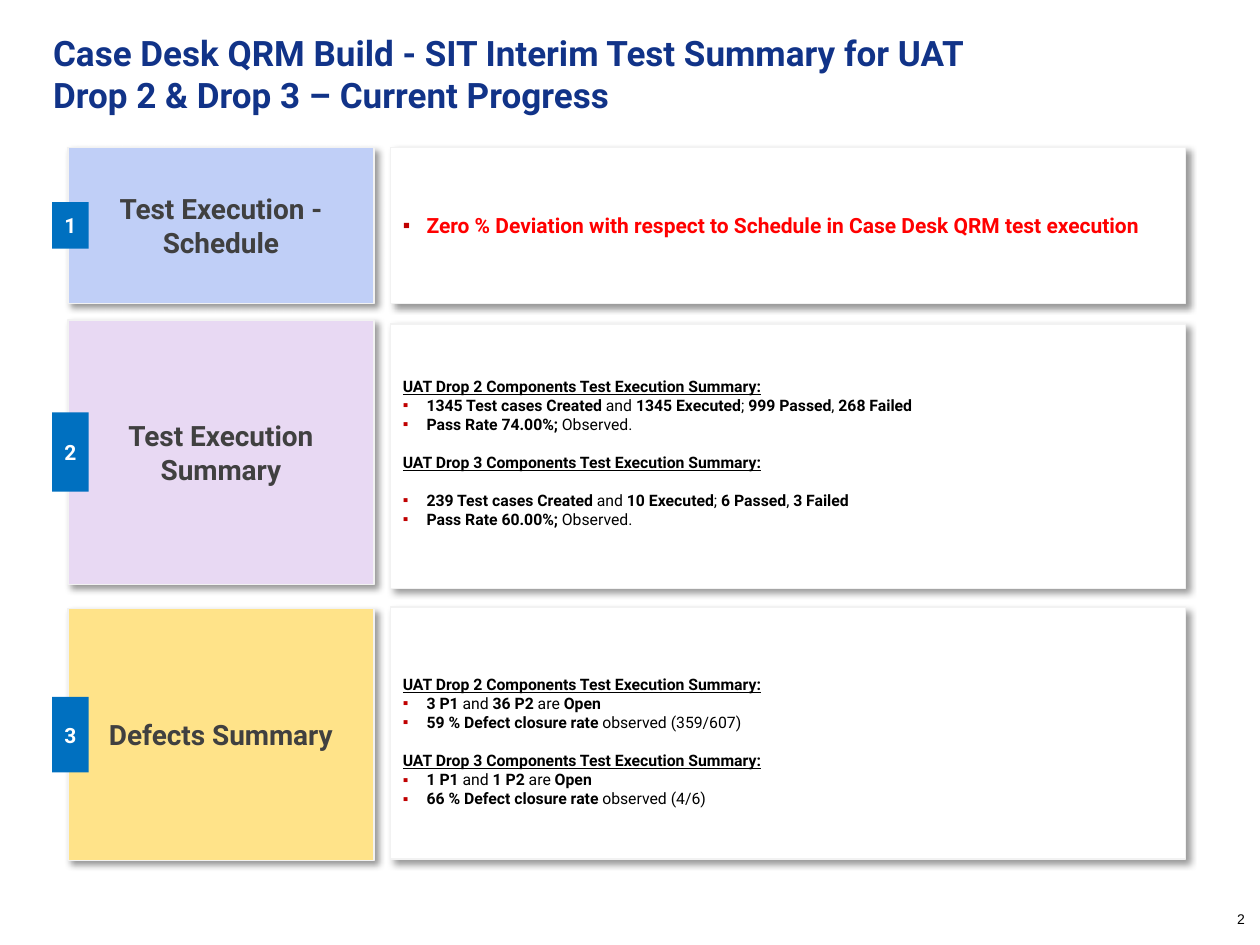
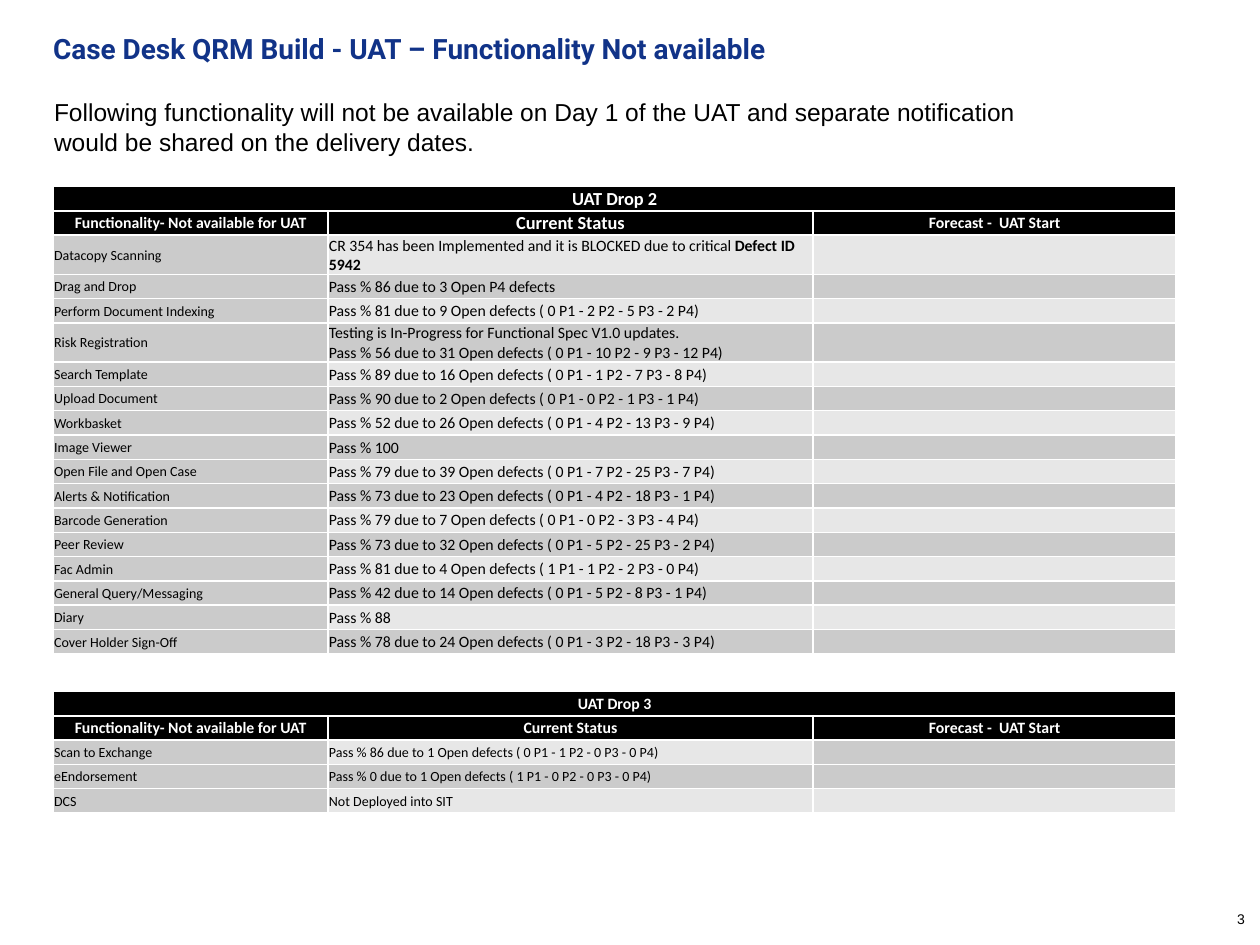
from lxml.etree import SubElement as Sub
from pptx import Presentation
from pptx.dml.color import RGBColor as Rgb
from pptx.enum.shapes import MSO_SHAPE as Kind
from pptx.enum.text import MSO_ANCHOR as Anchor, MSO_AUTO_SIZE as Fit, PP_ALIGN as Align
from pptx.oxml.ns import qn
from pptx.util import Cm, Pt

HUES = {
    "navy": "113388", "blue": "0070C0", "white": "FFFFFF", "black": "000000",
    "edge": "F2F2F2", "text": "404040", "red": "FF0000", "mark": "C00000",
    "sky": "C0CFF7", "lilac": "E8D9F3", "sand": "FFE389",
    "dark": "CBCBCB", "light": "E7E7E7",
}
MAIN, BODY, GRID = "Roboto", "Arial", "Calibri"

DROP2 = "UAT Drop 2 Components Test Execution Summary:"
DROP3 = "UAT Drop 3 Components Test Execution Summary:"

TITLES = [
    ("Case Desk QRM Build - SIT Interim Test Summary for UAT Drop 2 & Drop 3 – Current Progress", 20, 19.69),
    ("Case Desk QRM Build - UAT – Functionality Not available", 16, 22.23),
]
NOTE = ("Following functionality will not be available on Day 1 of the UAT "
        "and separate notification would be shared on the delivery dates.")

PARTS = [
    {"name": "Test Execution - Schedule", "fill": "sky", "top": 2.97, "high": 3.15,
     "side": 2.97, "badge": 0.94, "pad": (0.13, 0.13), "size": 12, "hue": "red",
     "blocks": [
         (None, 0, ["*Zero % Deviation with respect to Schedule in Case Desk QRM test execution*"]),
     ]},
    {"name": "Test Execution Summary", "fill": "lilac", "top": 6.45, "high": 5.33,
     "side": 6.53, "badge": 1.6, "pad": (0.13, 0.26), "size": 9, "hue": "black",
     "blocks": [
         (DROP2, 0, ["*1345 Test cases Created* and *1345 Executed*; *999 Passed*, *268 Failed*",
                     "*Pass Rate 74.00%;* Observed."]),
         (DROP3, 11, ["*239 Test cases Created* and *10 Executed*; *6 Passed*, *3 Failed*",
                      "*Pass Rate 60.00%;* Observed."]),
     ]},
    {"name": "Defects Summary", "fill": "sand", "top": 12.27, "high": 5.08,
     "side": 12.24, "badge": 1.52, "pad": (0.47, 0.13), "size": 9, "hue": "black",
     "blocks": [
         (DROP2, 0, ["*3 P1* and *36 P2* are *Open*",
                     "*59 % Defect closure rate* observed (359/607)"]),
         (DROP3, 0, ["*1 P1* and *1 P2* are *Open*",
                     "*66 % Defect closure rate* observed (4/6)"]),
     ]},
]

HEADS = ["Functionality- Not available for UAT", "Current Status", "Forecast -  UAT Start"]
WIDE = [5.54, 9.78, 7.32]
LOW, TALL = 0.49, 0.79
TABLES = [
    {"name": "UAT Drop 2", "top": 3.76, "big": 10.5, "size": 9, "tall": (0, 3), "odd": [], "rows": [
        ("Datacopy Scanning", "CR 354 has been Implemented and it is BLOCKED due to critical *Defect ID 5942*"),
        ("Drag and Drop", "Pass % 86 due to 3 Open P4 defects"),
        ("Perform Document Indexing", "Pass % 81 due to 9 Open defects ( 0 P1 - 2 P2 - 5 P3 - 2 P4)"),
        ("Risk Registration", "Testing is In-Progress for Functional Spec V1.0 updates.\n"
                              "Pass % 56 due to 31 Open defects ( 0 P1 - 10 P2 - 9 P3 - 12 P4)"),
        ("Search Template", "Pass % 89 due to 16 Open defects ( 0 P1 - 1 P2 - 7 P3 - 8 P4)"),
        ("Upload Document", "Pass % 90 due to 2 Open defects ( 0 P1 - 0 P2 - 1 P3 - 1 P4)"),
        ("Workbasket", "Pass % 52 due to 26 Open defects ( 0 P1 - 4 P2 - 13 P3 - 9 P4)"),
        ("Image Viewer", "Pass % 100"),
        ("Open File and Open Case", "Pass % 79 due to 39 Open defects ( 0 P1 - 7 P2 - 25 P3 - 7 P4)"),
        ("Alerts & Notification", "Pass % 73 due to 23 Open defects ( 0 P1 - 4 P2 - 18 P3 - 1 P4)"),
        ("Barcode Generation", "Pass % 79 due to 7 Open defects ( 0 P1 - 0 P2 - 3 P3 - 4 P4)"),
        ("Peer Review", "Pass % 73 due to 32 Open defects ( 0 P1 - 5 P2 - 25 P3 - 2 P4)"),
        ("Fac Admin", "Pass % 81 due to 4 Open defects ( 1 P1 - 1 P2 - 2 P3 - 0 P4)"),
        ("General Query/Messaging", "Pass % 42 due to 14 Open defects ( 0 P1 - 5 P2 - 8 P3 - 1 P4)"),
        ("Diary", "Pass % 88"),
        ("Cover Holder Sign-Off", "Pass % 78 due to 24 Open defects ( 0 P1 - 3 P2 - 18 P3 - 3 P4)"),
    ]},
    {"name": "UAT Drop 3", "top": 13.94, "big": 9, "size": 8, "tall": (), "odd": [(0, 2)], "rows": [
        ("Scan to Exchange", "Pass % 86 due to 1 Open defects ( 0 P1 - 1 P2 - 0 P3 - 0 P4)"),
        ("eEndorsement", "Pass % 0 due to 1 Open defects ( 1 P1 - 0 P2 - 0 P3 - 0 P4)"),
        ("DCS", "Not Deployed into SIT"),
    ]},
]


def hue(name):
    return Rgb.from_string(HUES[name])


def paint(item, name):
    item.fill.solid()
    item.fill.fore_color.rgb = hue(name)


def write(para, text, size, tint, font, bold=False, line=False, align=Align.LEFT):
    para.alignment = align
    for i, part in enumerate(text.split("*")):
        if part:
            run = para.add_run()
            run.text = part
            face = run.font
            face.name, face.size, face.underline = font, Pt(size), line
            face.bold = bold or i % 2 == 1
            face.color.rgb = hue(tint)


def inset(frame, left, top, right, low):
    frame.margin_left, frame.margin_top = Cm(left), Cm(top)
    frame.margin_right, frame.margin_bottom = Cm(right), Cm(low)


def shade(shape):
    fx = Sub(shape._element.spPr, qn("a:effectLst"))
    cast = Sub(fx, qn("a:outerShdw"), blurRad="50800", dist="38100", dir="2700000",
               algn="tl", rotWithShape="0")
    tone = Sub(cast, qn("a:srgbClr"), val=HUES["black"])
    Sub(tone, qn("a:alpha"), val="40000")


def card(slide, x, y, w, h, fill, edge=True):
    box = slide.shapes.add_shape(Kind.RECTANGLE, Cm(x), Cm(y), Cm(w), Cm(h))
    paint(box, fill)
    if edge:
        box.line.color.rgb = hue("edge")
        box.line.width = Pt(0.75)
        shade(box)
    else:
        box.line.fill.background()
        box.shadow.inherit = False
    box.text_frame.word_wrap = True
    box.text_frame.vertical_anchor = Anchor.MIDDLE
    return box.text_frame


def dot(para):
    prop = para._p.get_or_add_pPr()
    prop.set("marL", str(Cm(0.48)))
    prop.set("indent", str(-Cm(0.48)))
    Sub(Sub(prop, qn("a:buClr")), qn("a:srgbClr"), val=HUES["mark"])
    Sub(prop, qn("a:buFont"), typeface=BODY)
    Sub(prop, qn("a:buChar"), char="▪")


def fill_side(frame, part):
    style = part["size"], part["hue"], MAIN
    fresh = True
    for head, gap, items in part["blocks"]:
        rows = [(head, True)] if head else []
        rows += [(item, False) for item in items]
        for i, (text, top) in enumerate(rows):
            para = frame.paragraphs[0] if fresh else frame.add_paragraph()
            if top and not fresh:
                para.space_before = Pt(11)
            elif i == 1 and gap:
                para.space_before = Pt(gap)
            if not top:
                dot(para)
            write(para, text, *style, bold=top, line=top)
            fresh = False


def note(slide, text, x, y, w, h, size):
    frame = slide.shapes.add_textbox(Cm(x), Cm(y), Cm(w), Cm(h)).text_frame
    frame.word_wrap = True
    inset(frame, 0, 0, 0, 0)
    write(frame.paragraphs[0], text, size, "black", BODY)


def start(deck, num, text, size, wide):
    slide = deck.slides.add_slide(deck.slide_layouts[5])
    head = slide.shapes.title
    head.left, head.top, head.width, head.height = Cm(1.07), Cm(0.64), Cm(wide), Cm(1.27)
    frame = head.text_frame
    frame.word_wrap, frame.auto_size = True, Fit.NONE
    frame.vertical_anchor = Anchor.TOP
    inset(frame, 0, 0, 0, 0)
    write(frame.paragraphs[0], text, size, "navy", MAIN, bold=True)
    note(slide, str(num), 24.94, 18.36, 0.4, 0.4, 8)
    return slide


def put(cell, text, size, tint, fill, bold=False, align=Align.LEFT):
    cell.vertical_anchor = Anchor.MIDDLE
    inset(cell, 0.02, 0.02, 0.02, 0)
    prop = cell._tc.get_or_add_tcPr()
    for side in ("lnL", "lnR", "lnT", "lnB"):
        line = Sub(prop, qn("a:" + side), w=str(Pt(1)))
        Sub(Sub(line, qn("a:solidFill")), qn("a:srgbClr"), val=HUES["white"])
    paint(cell, fill)
    frame = cell.text_frame
    for i, row in enumerate(text.split("\n")):
        para = frame.add_paragraph() if i else frame.paragraphs[0]
        write(para, row, size, tint, GRID, bold, align=align)
        if not row:
            Sub(para._p, qn("a:endParaRPr"), sz=str(size * 100))


def chart_rows(slide, data):
    rows = data["rows"]
    highs = [LOW, LOW] + [TALL if i in data["tall"] else LOW for i in range(len(rows))]
    grid = slide.shapes.add_table(len(highs), 3, Cm(1.07), Cm(data["top"]),
                                  Cm(sum(WIDE)), Cm(sum(highs))).table
    for col, wide in zip(grid.columns, WIDE):
        col.width = Cm(wide)
    for row, high in zip(grid.rows, highs):
        row.height = Cm(high)
    top = {"tint": "white", "fill": "black", "bold": True, "align": Align.CENTER}
    for c, text in enumerate(HEADS):
        put(grid.cell(0, c), "" if c else data["name"], data["big"] if c == 0 else 8, **top)
        put(grid.cell(1, c), text, data["big"] if c == 1 else 9, **top)
    grid.cell(0, 0).merge(grid.cell(0, 2))
    for r, (name, state) in enumerate(rows):
        for c, text in enumerate((name, state, "")):
            dark = c == 0 or r % 2 == 1 or (r, c) in data["odd"]
            put(grid.cell(r + 2, c), text, data["size"] if c == 1 else 8,
                "black", "dark" if dark else "light")


def main():
    deck = Presentation()
    deck.slide_width, deck.slide_height = Cm(25.4), Cm(19.05)
    first, second = [start(deck, i, *spec) for i, spec in enumerate(TITLES, 2)]

    for i, part in enumerate(PARTS, 1):
        y, h, b = part["top"], part["high"], part["badge"]
        frame = card(first, 1.37, y, 6.17, h, part["fill"])
        write(frame.paragraphs[0], part["name"], 16, "text", MAIN, True, align=Align.CENTER)
        frame = card(first, 7.87, part["side"], 16.03, h, "white")
        inset(frame, 0.25, part["pad"][0], 0.25, part["pad"][1])
        fill_side(frame, part)
        frame = card(first, 1.05, y + (h - b) / 2, 0.74, b, "blue", edge=False)
        inset(frame, 0, 0, 0, 0)
        write(frame.paragraphs[0], str(i), 12, "white", MAIN, True, align=Align.CENTER)

    note(second, NOTE, 1.09, 1.96, 20.25, 1.2, 14)
    for data in TABLES:
        chart_rows(second, data)
    deck.save("out.pptx")


if __name__ == "__main__":
    main()
